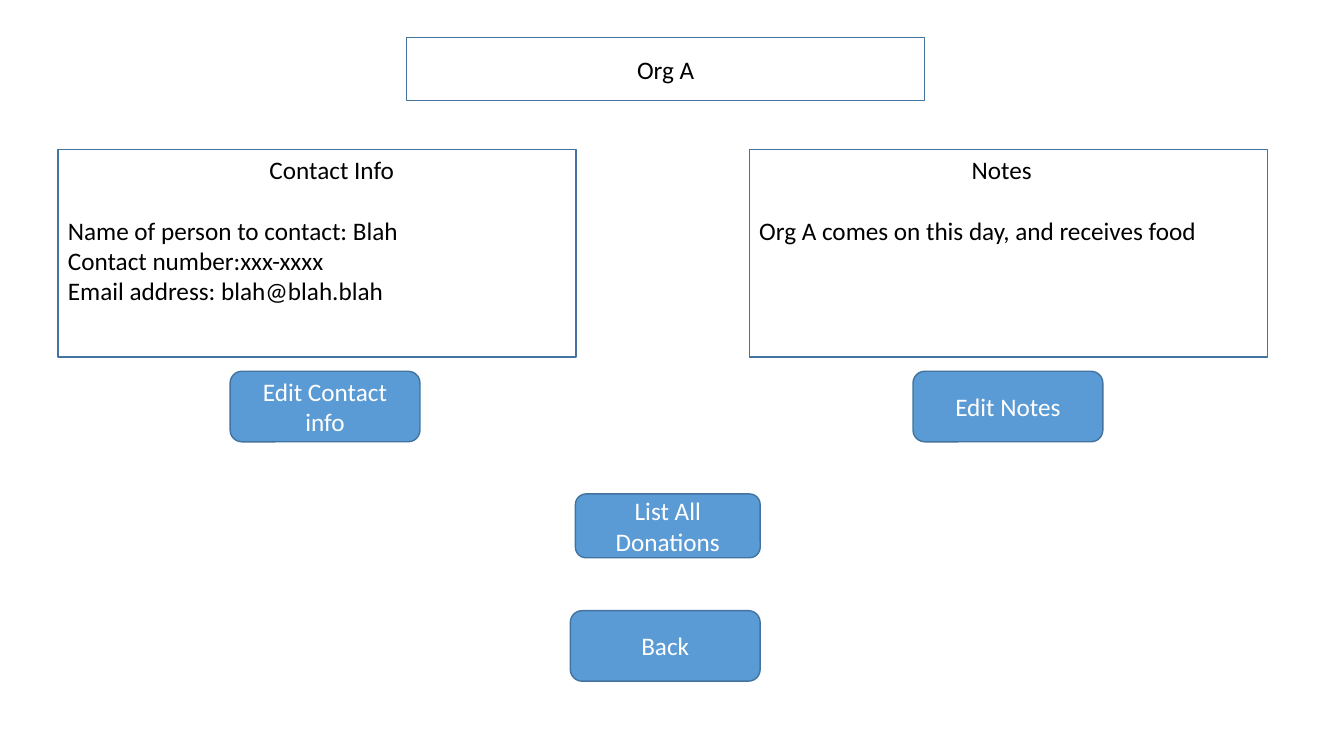
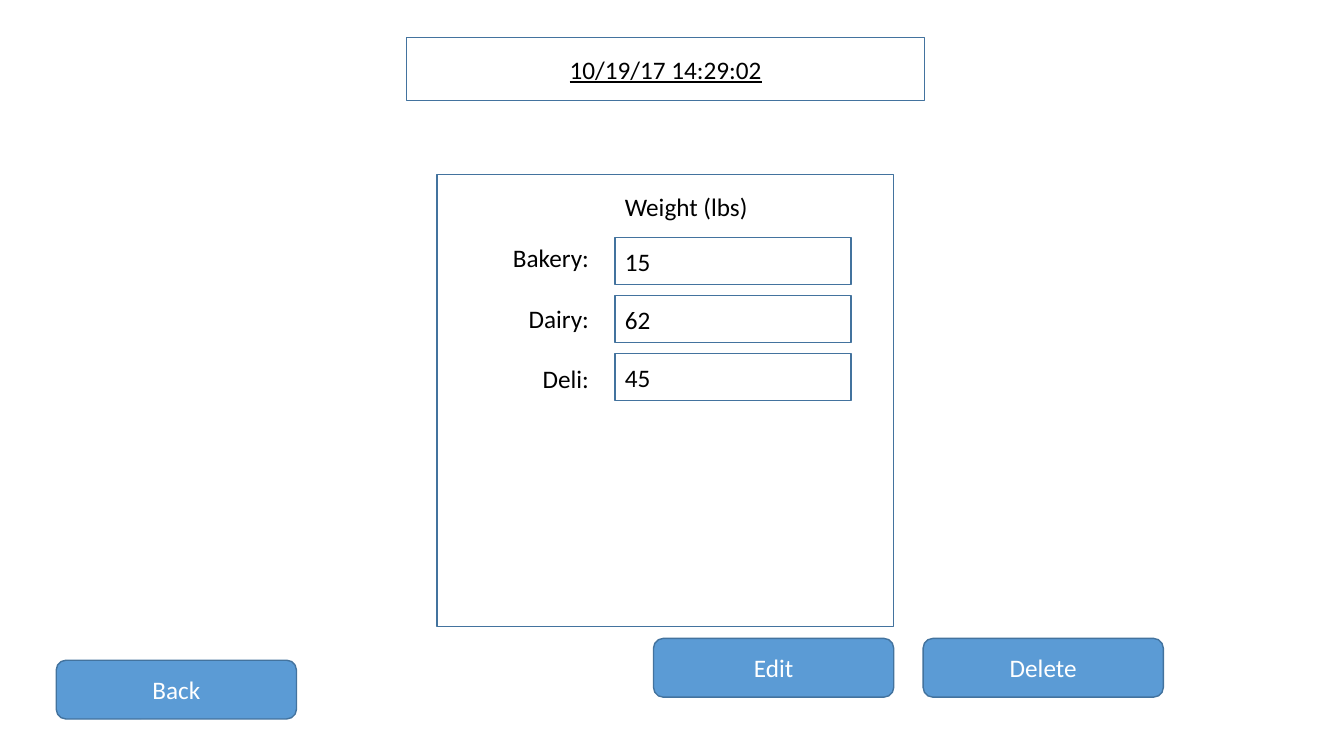
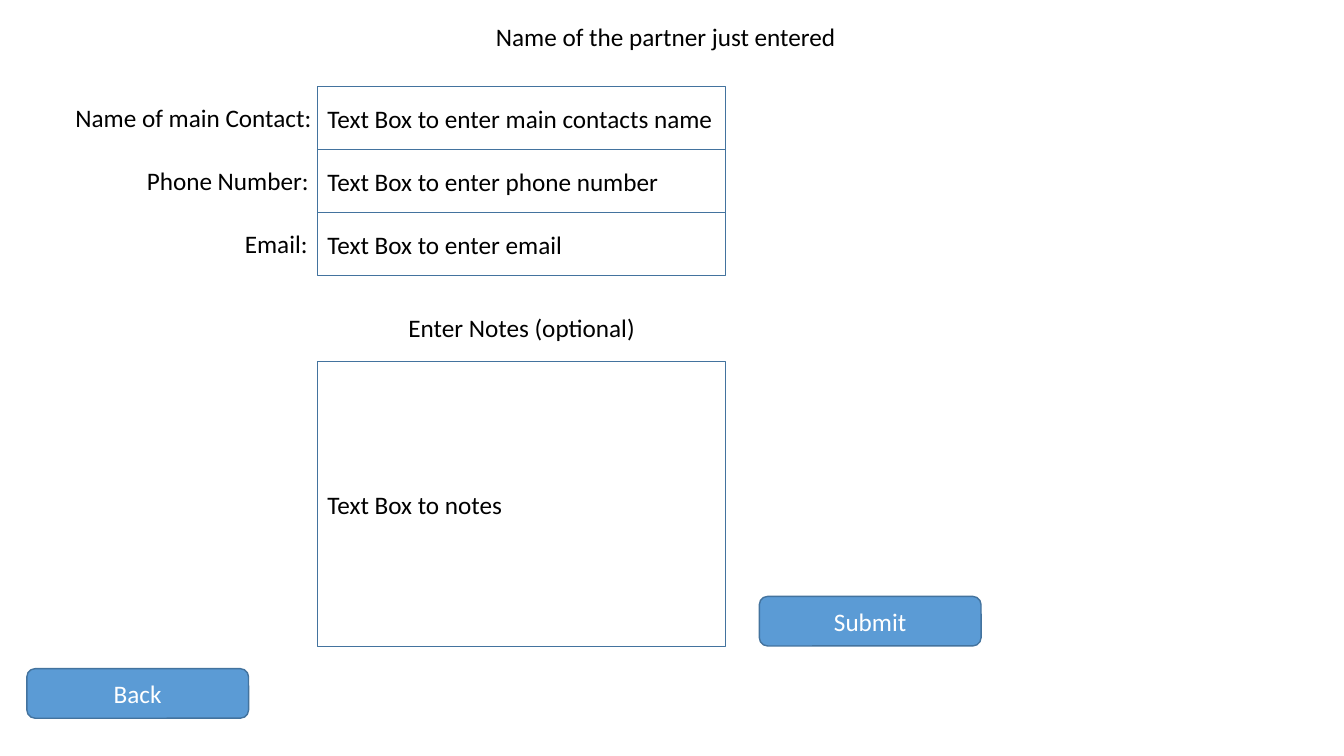
from pptx import Presentation
from pptx.dml.color import RGBColor
from pptx.enum.shapes import MSO_SHAPE as Shape
from pptx.enum.text import MSO_ANCHOR as Anchor, MSO_AUTO_SIZE as Fit, PP_ALIGN as Align
from pptx.util import Inches, Pt

BLUE = RGBColor(0x5B, 0x9B, 0xD5)
EDGE = RGBColor(0x43, 0x73, 0x9E)
BLACK = RGBColor(0, 0, 0)
WHITE = RGBColor(255, 255, 255)

FONT, SIZE, GAP = "Calibri", Pt(18), Pt(21.6)
COLS, ROWS = 160, 90
LEFT, MID, RIGHT = Align.LEFT, Align.CENTER, Align.RIGHT


def cells(count):
    """Turn grid columns or rows, twelve to the inch, into a length."""
    return Inches(count / 12)


class Deck:
    def __init__(self):
        self.prs = Presentation()
        self.prs.slide_width = cells(COLS)
        self.prs.slide_height = cells(ROWS)
        self.slide = None

    def page(self):
        self.slide = self.prs.slides.add_slide(self.prs.slide_layouts[6])

    def text(self, shape, words, align, color=BLACK, anchor=Anchor.MIDDLE):
        frame = shape.text_frame
        frame.word_wrap = True
        frame.vertical_anchor = anchor
        frame.text = words
        for para in frame.paragraphs:
            para.alignment = align
            for run in para.runs:
                run.font.name = FONT
                run.font.size = SIZE
                run.font.color.rgb = color
        return frame

    def shape(self, kind, x, y, w, h):
        shape = self.slide.shapes.add_shape(kind, *map(cells, (x, y, w, h)))
        shape.shadow.inherit = False
        shape.line.color.rgb = EDGE
        shape.line.width = Pt(1)
        return shape

    def box(self, x, y, w, h, words="", align=LEFT, anchor=Anchor.MIDDLE):
        shape = self.shape(Shape.RECTANGLE, x, y, w, h)
        shape.fill.background()
        return self.text(shape, words, align, anchor=anchor)

    def button(self, x, y, w, h, words):
        shape = self.shape(Shape.ROUNDED_RECTANGLE, x, y, w, h)
        shape.fill.solid()
        shape.fill.fore_color.rgb = BLUE
        self.text(shape, words, MID, WHITE)

    def label(self, x, y, w, words, align=LEFT, h=4.8):
        shape = self.slide.shapes.add_textbox(*map(cells, (x, y, w, h)))
        frame = self.text(shape, words, align, anchor=Anchor.TOP)
        frame.auto_size = Fit.SHAPE_TO_FIT_TEXT
        return frame

    def title(self, words):
        return self.box(48.4, 4.5, 61.7, 7.5, words, MID)

    def card(self, x, head, indent, body):
        """Draw a box with an indented heading set apart from its body."""
        frame = self.box(x, 17.8, 61.7, 24.7, f"{head}\n{body}", anchor=Anchor.TOP)
        first, second = frame.paragraphs[:2]
        first._p.get_or_add_pPr().set("marL", str(cells(indent)))
        second.space_before = GAP


def partner(deck):
    deck.page()
    deck.title("Org A")
    contact = "\n".join((
        "Name of person to contact: Blah",
        "Contact number:xxx-xxxx",
        "Email address: blah@blah.blah",
    ))
    deck.card(6.9, "Contact Info", 24, contact)
    deck.card(89.2, "Notes", 25.3, "Org A comes on this day, and receives food")
    for x, y, words in (
        (27.4, 44.2, "Edit Contact info"),
        (108.7, 44.2, "Edit Notes"),
        (67.9, 72.7, "Back"),
    ):
        deck.button(x, y, 22.6, 8.4, words)
    deck.button(68.5, 58.8, 22, 7.6, "List All Donations")


def record(deck):
    deck.page()
    stamp = deck.title("10/19/17 14:29:02")
    stamp.paragraphs[0].runs[0].font.underline = True
    deck.box(52, 20.8, 54.4, 53.8)
    foods = {"Bakery:": "15", "Dairy:": "62", "Deli:": "45"}
    names = deck.label(45.4, 28.3, 25.9, "\n".join(foods), RIGHT, 19.4)
    for para in names.paragraphs[1:]:
        para.space_before = GAP
    for row, weight in enumerate(foods.values()):
        deck.box(73.2, 28.3 + 6.9 * row, 28.1, 5.6, weight)
    deck.label(73.2, 22.2, 28.1, "Weight (lbs)")
    for x, y, words in (
        (77.8, 76, "Edit"),
        (6.7, 78.6, "Back"),
        (109.9, 76, "Delete"),
    ):
        deck.button(x, y, 28.6, 7, words)


def entry(deck):
    left, width, step = 37.8, 48.6, 7.5
    deck.page()
    deck.label(55.8, 2, 46.9, "Name of the partner just entered", MID)
    fields = (
        (7.8, 33.4, LEFT, "Name of main Contact:", "main contacts name"),
        (16.3, 22.9, LEFT, "Phone Number:", "phone number"),
        (14.9, 22.9, RIGHT, "Email:", "email"),
    )
    for row, (x, w, align, name, hint) in enumerate(fields):
        deck.label(x, 11.6 + step * row, w, name, align)
        deck.box(left, 10.3 + step * row, width, step, f"Text Box to enter {hint}")
    deck.label(left, 36.6, width, "Enter Notes (optional)", MID)
    deck.box(left, 43, width, 34, "Text Box to notes")
    deck.button(90.4, 71, 26.4, 5.9, "Submit")
    deck.button(3.2, 79.6, 26.4, 5.9, "Back")


def main():
    deck = Deck()
    for build in (partner, record, entry):
        build(deck)
    deck.prs.save("out.pptx")


if __name__ == "__main__":
    main()
